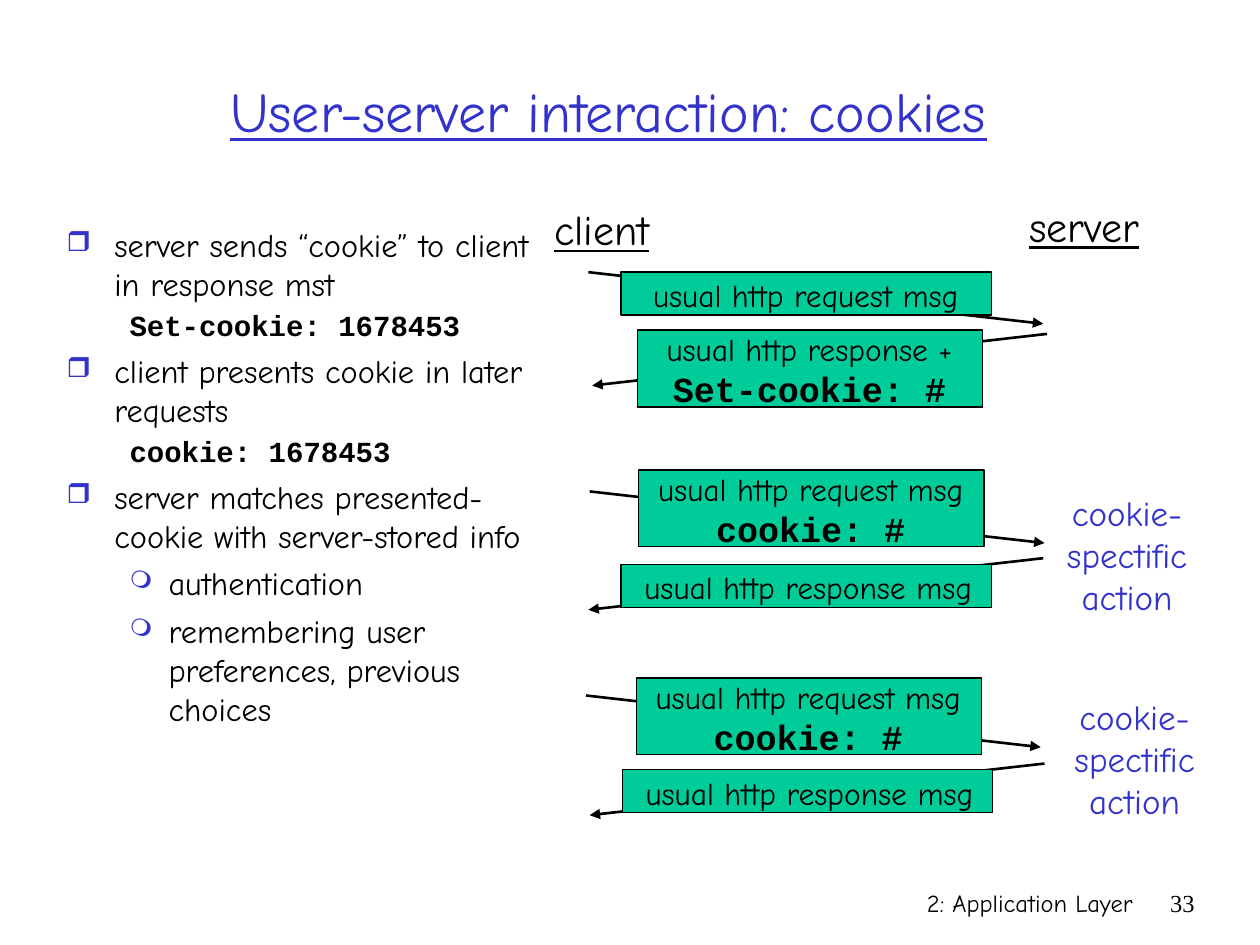
from lxml.etree import SubElement
from pptx import Presentation
from pptx.dml.color import RGBColor
from pptx.enum.shapes import MSO_CONNECTOR, MSO_SHAPE
from pptx.enum.text import MSO_ANCHOR, MSO_AUTO_SIZE, PP_ALIGN
from pptx.oxml.ns import qn
from pptx.util import Pt

PX = 9144
COLORS = {"ink": "000000", "accent": "3333CC", "box": "00CC99"}
SANS, MONO, SERIF = "Comic Neue", "Courier New", "Times New Roman"


def px(*values):
    """Turn pixel lengths into EMU."""
    return [v * PX for v in values]


def rgb(name):
    """Look up a palette colour."""
    return RGBColor.from_string(COLORS[name])


def write(p, text, size=18, font=SANS, color="ink", bold=False, underline=False,
          align=PP_ALIGN.CENTER):
    """Write one formatted run into a paragraph."""
    p.alignment = align
    r = p.add_run()
    r.text = text
    f = r.font
    f.size, f.name, f.bold, f.underline = Pt(size), font, bold, underline
    f.color.rgb = rgb(color)


def add_text(s, box, lines, wrap=True, grow=True, **fmt):
    """Add a text box; each line is a text and its own format."""
    tf = s.shapes.add_textbox(*px(*box)).text_frame
    tf.word_wrap = wrap
    if not wrap:
        tf.margin_left = tf.margin_right = 0
    tf.auto_size = MSO_AUTO_SIZE.SHAPE_TO_FIT_TEXT if grow else MSO_AUTO_SIZE.NONE
    for i, (text, own) in enumerate(lines):
        p = tf.add_paragraph() if i else tf.paragraphs[0]
        write(p, text, **{**fmt, **own})
    return tf


def add_title(s, box, text):
    """Place and format the title placeholder."""
    sp = s.shapes.title
    sp.left, sp.top, sp.width, sp.height = px(*box)
    tf = sp.text_frame
    tf.auto_size, tf.vertical_anchor = MSO_AUTO_SIZE.NONE, MSO_ANCHOR.MIDDLE
    write(tf.paragraphs[0], text, size=32, color="accent", underline=True)


def set_bullet(p, char, percent, margin, indent):
    """Set the hanging indent and, if given, the bullet of a paragraph."""
    pPr = p._p.get_or_add_pPr()
    pPr.set("marL", str(margin * PX))
    pPr.set("indent", str(-indent * PX))
    if not char:
        SubElement(pPr, qn("a:buNone"))
        return
    clr = SubElement(pPr, qn("a:buClr"))
    SubElement(clr, qn("a:srgbClr"), val=COLORS["accent"])
    SubElement(pPr, qn("a:buSzPct"), val=str(percent * 1000))
    SubElement(pPr, qn("a:buChar"), char=char)


def add_outline(s, box, items):
    """Add the bulleted outline of points, code lines and sub-points."""
    kinds = {
        "point": ("❒", 85, 38, 38),
        "code": (None, 0, 81, 31),
        "sub": ("❍", 75, 81, 31),
    }
    code = {"size": 16.6, "font": MONO, "bold": True}
    lines = [(text, code if kind == "code" else {}) for kind, text in items]
    tf = add_text(s, box, lines, grow=False, size=18.5, align=PP_ALIGN.LEFT)
    for i, (p, (kind, _)) in enumerate(zip(tf.paragraphs, items)):
        set_bullet(p, *kinds[kind])
        p.level = 0 if kind == "point" else 1
        if i:
            p.space_before = Pt(4.5 if kind == "code" else 5)
        if kind == "code":
            p.line_spacing = 0.9


def add_arrow(s, x, y, run):
    """Add a message arrow that drops while crossing by run."""
    ln = s.shapes.add_connector(MSO_CONNECTOR.STRAIGHT, *px(x, y, x + run, y + 41))
    ln.line.color.rgb, ln.line.width = rgb("ink"), Pt(1.5)
    SubElement(ln.line._get_or_add_ln(), qn("a:tailEnd"), type="triangle")
    SubElement(ln._element.spPr, qn("a:effectLst"))


def add_message(s, start, run, corner, text, code=None, text_dx=0, text_w=293):
    """Add one message: its arrow, its box and the label over it."""
    add_arrow(s, *start, run)
    x, y = corner
    w, h, lift, text_h = (274, 61, 5, 74) if code else (294, 34, 2, 40)
    sp = s.shapes.add_shape(MSO_SHAPE.RECTANGLE, *px(x, y, w, h))
    sp.shadow.inherit = False
    sp.fill.solid()
    sp.fill.fore_color.rgb = rgb("box")
    sp.line.color.rgb, sp.line.width = rgb("ink"), Pt(0.75)
    lines = [(text, {})]
    if code:
        lines.append((code, {"size": 20, "font": MONO, "bold": True}))
    add_text(s, (x + text_dx, y - lift, text_w, text_h), lines)


def add_exchange(s):
    """Add the client and server headings, messages and server actions."""
    for text, box in (("client", (430, 157, 95, 50)), ("server", (807, 154, 107, 50))):
        add_text(s, box, [(text, {})], wrap=False, size=24, underline=True)
    request, response = "usual http request msg", "usual http response msg"
    add_message(s, (467, 216), 361, (493, 216), request)
    add_message(s, (831, 265), -361, (506, 262), "usual http response +",
                "Set-cookie: #", text_dx=-8, text_w=289)
    for x, y, box_x, box_y in ((468, 390, 507, 373), (465, 552, 505, 538)):
        add_message(s, (x, y), 361, (box_x, box_y), request, "cookie: #", text_dx=-10)
    for x, y, box_x, box_y in ((828, 443, 493, 448), (829, 606, 494, 611)):
        add_message(s, (x, y), -361, (box_x, box_y), response, text_dx=-3, text_w=303)
    action = [(text, {}) for text in ("cookie-", "spectific", "action")]
    for x, y in ((837, 385), (843, 547)):
        add_text(s, (x, y, 115, 110), action, wrap=False, size=20, color="accent")


def add_footer(s, y):
    """Add the chapter name and the page number."""
    for x, w, text, font in ((592, 317, "2: Application Layer", SANS),
                             (908, 50, "33", SERIF)):
        add_text(s, (x, y, w, 50), [(text, {})], grow=False, size=14, font=font,
                 align=PP_ALIGN.RIGHT)


def main():
    """Build and save the slide."""
    prs = Presentation()
    prs.slide_width, prs.slide_height = px(1000, 750)
    s = prs.slides.add_slide(prs.slide_layouts[5])
    add_footer(s, 700)
    add_title(s, (58, 25, 850, 125), "User-server interaction: cookies")
    add_outline(s, (43, 174, 394, 471), [
        ("point", "server sends “cookie” to client in response mst"),
        ("code", "Set-cookie: 1678453"),
        ("point", "client presents cookie in later requests"),
        ("code", "cookie: 1678453"),
        ("point", "server matches presented-cookie with server-stored info"),
        ("sub", "authentication"),
        ("sub", "remembering user preferences, previous choices"),
    ])
    add_exchange(s)
    prs.save("out.pptx")


if __name__ == "__main__":
    main()
